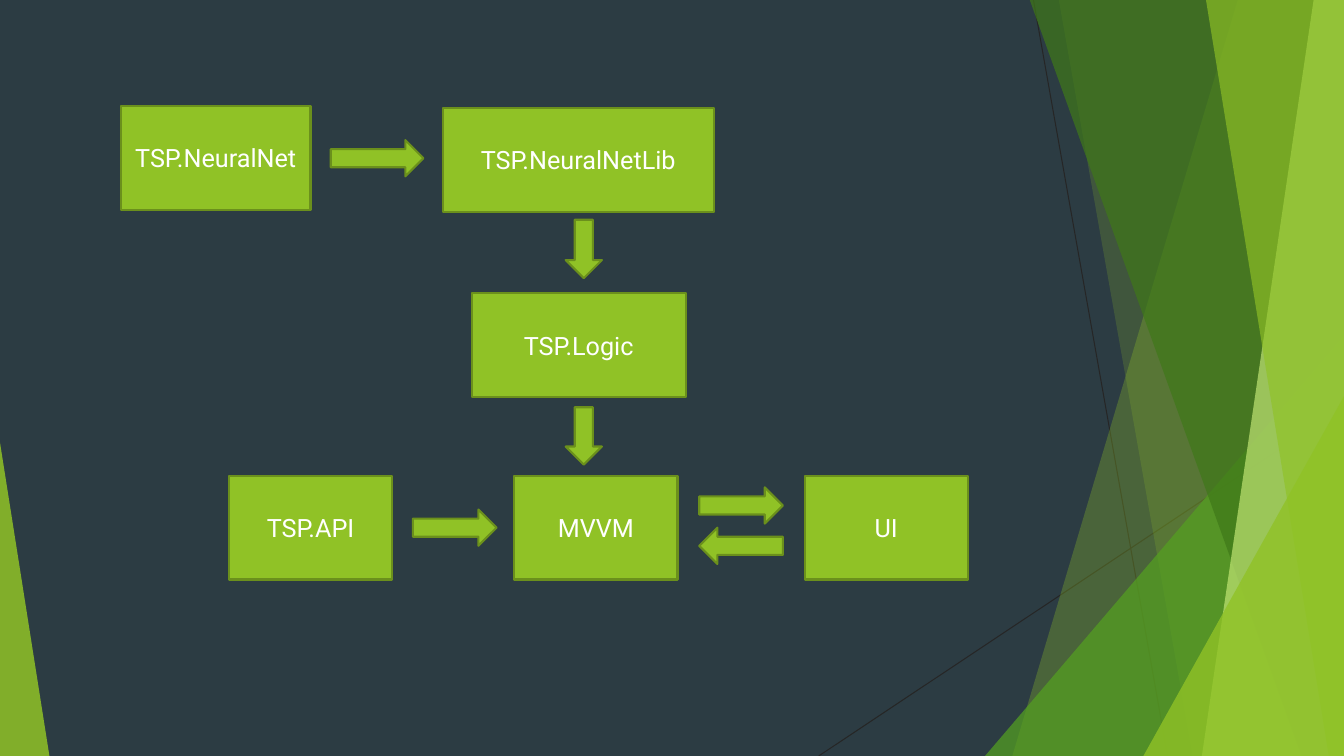
from pptx import Presentation
from pptx.dml.color import RGBColor as RGB
from pptx.enum.shapes import MSO_CONNECTOR as Link, MSO_SHAPE as Form
from pptx.enum.text import MSO_ANCHOR as Anchor, PP_ALIGN as Align
from pptx.oxml.ns import qn
from pptx.util import Pt
from lxml.etree import SubElement as Sub

PX = 9144
WIDE, HIGH = 1333, 750
HUES = {
    "night": "2C3C43", "wire": "262626", "lime": "90C226", "edge": "6B901C",
    "leaf": "54A021", "moss": "3F7819", "pale": "C0E474", "white": "FFFFFF",
}
FONT = {"name": "Roboto", "size": Pt(18)}
FRAME = {"word_wrap": True, "vertical_anchor": Anchor.MIDDLE}


def paint(fill, hue, alpha=100):
    fill.solid()
    fill.fore_color.rgb = RGB.from_string(HUES[hue])
    if alpha < 100:
        tint = fill._xPr.find(qn("a:solidFill"))[0]
        Sub(tint, qn("a:alpha"), val=str(alpha * 1000))


def block(form, *box):
    shape = shapes.add_shape(form, *[n * PX for n in box])
    shape.shadow.inherit = False
    paint(shape.fill, "lime")
    paint(shape.line.fill, "edge")
    shape.line.width = Pt(1.5)
    return shape


deck = Presentation()
deck.slide_width, deck.slide_height = WIDE * PX, HIGH * PX
slide = deck.slides.add_slide(deck.slide_layouts[6])
paint(slide.background.fill, "night")
shapes = slide.shapes

for ends in [(1025, 0, 1158, HIGH), (WIDE, 403, 812, HIGH)]:
    wire = shapes.add_connector(Link.STRAIGHT, *[n * PX for n in ends])
    paint(wire.line.fill, "wire")
    wire.line.width = Pt(0.75)
    Sub(wire._element.spPr, qn("a:effectLst"))

facets = [
    ("lime", 30, "band", (1228, 1004)),
    ("lime", 20, "band", (1050, 1183)),
    ("leaf", 72, "peak", (977, 333, 356, 1)),
    ("moss", 70, "band", (1021, 1291)),
    ("pale", 70, "band", (1303, 1192)),
    ("lime", 65, "band", (1196, 1318)),
    ("lime", 80, "peak", (1134, 393, 199, 1)),
    ("lime", 85, "peak", (0, 439, 49, 0)),
]
for hue, alpha, kind, size in facets:
    if kind == "band":
        top, foot = size
        draft = shapes.build_freeform(top, -1, scale=PX)
        draft.add_line_segments([(WIDE, -1), (WIDE, HIGH), (foot, HIGH)])
        facet = draft.convert_to_shape()
    else:
        left, top, wide, tip = size
        box = [n * PX for n in (left, top, wide, HIGH - top)]
        facet = shapes.add_shape(Form.ISOSCELES_TRIANGLE, *box)
        facet.adjustments[0] = tip
    facet.shadow.inherit = False
    facet.line.fill.background()
    paint(facet.fill, hue, alpha)

parts = [
    ("TSP.NeuralNet", 120, 105, 188),
    ("TSP.NeuralNetLib", 439, 107, 269),
    ("TSP.Logic", 468, 291, 212),
    ("TSP.API", 227, 472, 162),
    ("MVVM", 510, 472, 162),
    ("UI", 798, 472, 162),
]
for label, left, top, wide in parts:
    frame = block(Form.RECTANGLE, left, top, wide, 103).text_frame
    for key, value in FRAME.items():
        setattr(frame, key, value)
    para = frame.paragraphs[0]
    para.alignment = Align.CENTER
    run = para.add_run()
    run.text = label
    for key, value in FONT.items():
        setattr(run.font, key, value)
    paint(run.font.fill, "white")

arrows = [
    (356, 111, 92, 90),
    (561, 218, 58, 180),
    (561, 404, 57, 180),
    (433, 482, 83, 90),
    (717, 460, 83, 90),
    (717, 500, 83, 270),
]
for left, top, high, turn in arrows:
    block(Form.UP_ARROW, left, top, 36, high).rotation = turn

deck.save("out.pptx")
